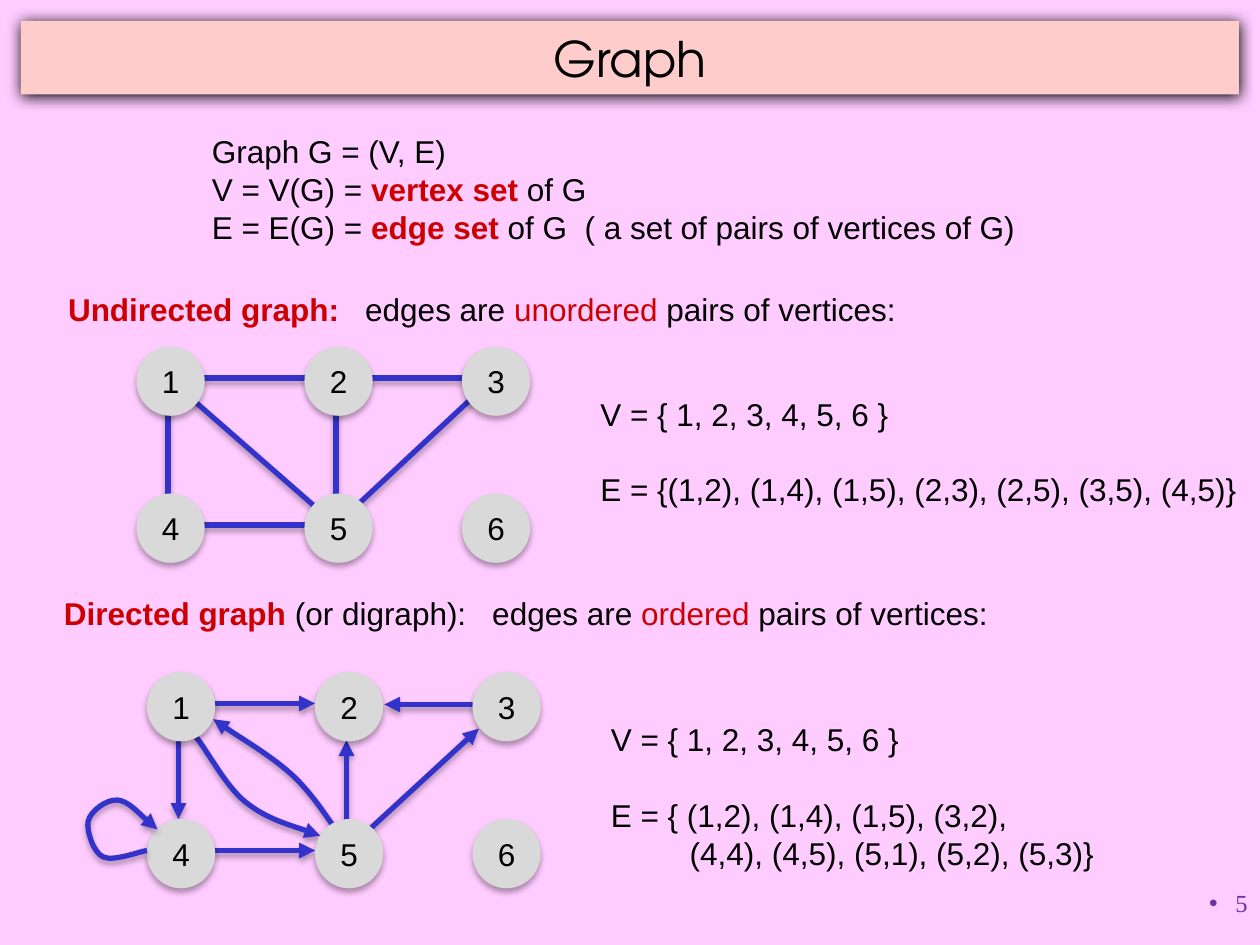
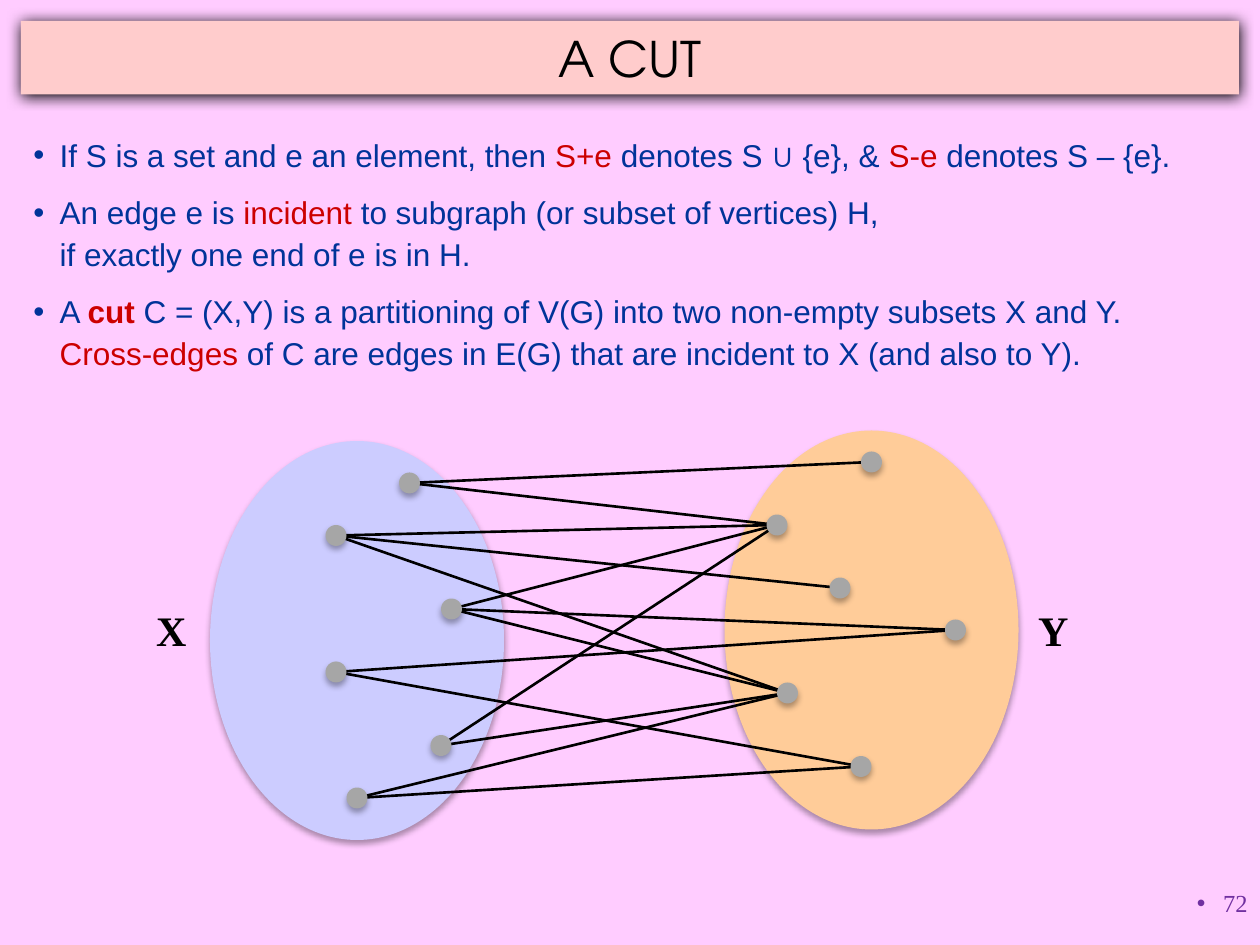
from lxml import etree
from pptx import Presentation
from pptx import util as u
from pptx.dml import color
from pptx.enum import shapes, text
from pptx.oxml import ns

SCALE = 7620
INK, RED, NAVY, PURPLE = "000000", "CC0000", "003399", "7030A0"
PAGE, BAND, VERTEX, EDGE = "FFCCFF", "FFCCCC", "D9D9D9", "3333CC"
X_SIDE, Y_SIDE, DOT = "CCCCFF", "FFCC99", "A6A6A6"
TITLE_FONT, BODY_FONT, SERIF_FONT = "TeX Gyre Adventor", "Arial", "Times New Roman"
BAND_SHADOW, SOFT_SHADOW = (8.5, 1, 100), (3.5, 2.2, 32)
LEFT, CENTER, RIGHT = text.PP_ALIGN.LEFT, text.PP_ALIGN.CENTER, text.PP_ALIGN.RIGHT


def px(length):
    return u.Emu(length * SCALE)


def rgb(code):
    return color.RGBColor.from_string(code)


def add_xml(parent, tag, **attributes):
    values = {name: str(value) for name, value in attributes.items()}
    return etree.SubElement(parent, ns.qn("a:" + tag), values)


class Painter:
    def __init__(self):
        self.deck = Presentation()
        self.deck.slide_width, self.deck.slide_height = px(1200), px(900)
        self.page = None

    def add_page(self, title, number):
        self.page = self.deck.slides.add_slide(self.deck.slide_layouts[6])
        fill = self.page.background.fill
        fill.solid()
        fill.fore_color.rgb = rgb(PAGE)
        band = self.shape("RECTANGLE", 20, 20, 1160, 70, BAND, BAND_SHADOW)
        self.set_text(band.text_frame, [[title]], size=28, font=TITLE_FONT, align=CENTER)
        self.text(950, 840, 250, 60, [[str(number)]], wrap=True, size=14,
                  font=SERIF_FONT, ink=PURPLE, align=RIGHT, bullet=True)

    def effects(self, shape, shadow):
        effects = add_xml(shape.element.spPr, "effectLst")
        if shadow:
            blur, distance, alpha = shadow
            outer = add_xml(effects, "outerShdw", blurRad=u.Pt(blur), dist=u.Pt(distance),
                            dir=5400000, algn="ctr", rotWithShape=0)
            tone = add_xml(outer, "srgbClr", val=INK)
            add_xml(tone, "alpha", val=alpha * 1000)

    def shape(self, kind, x, y, width, height, fill, shadow=SOFT_SHADOW):
        box = self.page.shapes.add_shape(getattr(shapes.MSO_SHAPE, kind),
                                         px(x), px(y), px(width), px(height))
        box.fill.solid()
        box.fill.fore_color.rgb = rgb(fill)
        box.line.fill.background()
        self.effects(box, shadow)
        return box

    def stroke(self, shape, ink, width, arrow, shadow):
        shape.line.color.rgb = rgb(ink)
        shape.line.width = u.Pt(width)
        if arrow:
            add_xml(shape.element.spPr.find(ns.qn("a:ln")), "tailEnd", type="triangle")
        self.effects(shape, shadow)

    def line(self, start, end, ink=EDGE, width=3, arrow=False, shadow=SOFT_SHADOW):
        ends = [px(value) for value in (*start, *end)]
        connector = self.page.shapes.add_connector(shapes.MSO_CONNECTOR.STRAIGHT, *ends)
        self.stroke(connector, ink, width, arrow, shadow)

    def curve(self, start, *points):
        builder = self.page.shapes.build_freeform(*start, scale=SCALE)
        builder.add_line_segments(points, close=False)
        shape = builder.convert_to_shape()
        shape.fill.background()
        outline = shape.element.spPr.find(".//" + ns.qn("a:path"))
        steps = outline.findall(ns.qn("a:lnTo"))
        for first in range(0, len(steps), 3):
            bend = add_xml(outline, "cubicBezTo")
            for step in steps[first:first + 3]:
                bend.append(step[0])
                outline.remove(step)
        self.stroke(shape, EDGE, 3, True, SOFT_SHADOW)

    def vertex(self, x, y, label):
        circle = self.shape("OVAL", x, y, 65, 66, VERTEX)
        circle.text_frame.word_wrap = False
        self.set_text(circle.text_frame, [[label]], align=CENTER)

    def dot(self, x, y):
        self.shape("OVAL", x - 10, y - 10, 20, 20, DOT)

    def text(self, x, y, width, height, paragraphs, wrap=False, **style):
        box = self.page.shapes.add_textbox(px(x), px(y), px(width), px(height))
        box.text_frame.word_wrap = wrap
        if not wrap:
            box.text_frame.auto_size = text.MSO_AUTO_SIZE.SHAPE_TO_FIT_TEXT
        self.set_text(box.text_frame, paragraphs, **style)

    def set_text(self, frame, paragraphs, size=18, font=BODY_FONT, ink=INK, align=LEFT,
                 bold=False, bullet=False, spacing=None, gaps=(), indents=(), tab=None):
        for index, spans in enumerate(paragraphs):
            para = frame.add_paragraph() if index else frame.paragraphs[0]
            para.alignment = align
            if spacing:
                para.line_spacing = spacing
            if index and gaps:
                para.space_before = u.Pt(gaps[index - 1])
            properties = para._p.get_or_add_pPr()
            if indents:
                properties.set("marL", str(px(indents[index])))
            if bullet:
                properties.set("marL", str(px(25)))
                properties.set("indent", str(px(-25)))
                add_xml(properties, "buFont", typeface="Arial")
                add_xml(properties, "buChar", char="•")
            if tab:
                stops = add_xml(properties, "tabLst")
                add_xml(stops, "tab", pos=px(tab), algn="l")
            for item in spans:
                words, tone, heavy = item if isinstance(item, tuple) else (item, ink, bold)
                for row, part in enumerate(words.split("\n")):
                    if row:
                        para.add_line_break()
                    if part:
                        self.span(para, part, size, font, tone, heavy)

    def span(self, para, words, size, font, ink, bold):
        span = para.add_run()
        span.text = words
        span.font.size, span.font.name, span.font.bold = u.Pt(size), font, bold
        span.font.color.rgb = rgb(ink)


def vertex_places(left, top):
    return {str(row * 3 + column + 1): (left + offset, top + row * 140)
            for row in range(2) for column, offset in enumerate((0, 160, 310))}


def draw_graph_page(painter):
    painter.add_page("Graph", 5)
    painter.text(190, 120, 790, 120, [
        ["Graph G = (V, E)"],
        ["V = V(G) = ", ("vertex set", RED, True), " of G"],
        ["E = E(G) = ", ("edge set", RED, True),
         " of G\t( a set of pairs of vertices of G)"]], tab=355)

    painter.text(53, 270, 812, 48, [
        [("Undirected graph:", RED, True), "\tedges are ", ("unordered", RED, False),
         " pairs of vertices:"]], tab=283)
    places = vertex_places(130, 330)
    for pair in ("12", "14", "15", "23", "25", "35", "45"):
        painter.line(*[(places[name][0] + 30, places[name][1] + 30) for name in pair])
    for name, place in places.items():
        painter.vertex(*place, name)
    painter.text(560, 370, 630, 120, [
        ["V = { 1, 2, 3, 4, 5, 6 }"],
        ["E = {(1,2), (1,4), (1,5), (2,3), (2,5), (3,5), (4,5)}"]], gaps=[21.6])

    painter.text(49, 560, 904, 48, [
        [("Directed graph", RED, True), " (or digraph):\tedges are ",
         ("ordered", RED, False), " pairs of vertices:"]], tab=408)
    arrows = [((170, 670), (300, 670)), ((480, 671), (366, 671)),
              ((170, 700), (170, 780)), ((170, 810), (300, 810)),
              ((330, 810), (330, 705)), ((330, 810), (456, 694))]
    for start, end in arrows:
        painter.line(start, end, arrow=True)
    painter.curve((317, 786), (311, 778), (296, 754), (277, 737),
                  (258, 720), (218, 696), (203, 685))
    painter.curve((186, 701), (197, 714), (215, 749), (234, 764),
                  (254, 780), (293, 791), (305, 796))
    for name, place in vertex_places(140, 640).items():
        painter.vertex(*place, name)
    painter.curve((140, 810), (133, 811), (107, 821), (98, 816),
                  (89, 812), (82, 791), (84, 782),
                  (86, 773), (101, 761), (112, 762), (122, 763), (142, 784), (150, 790))
    painter.text(570, 680, 484, 156, [
        ["V = { 1, 2, 3, 4, 5, 6 }"],
        ["E = { (1,2), (1,4), (1,5), (3,2),"],
        ["(4,4), (4,5), (5,1), (5,2), (5,3)}"]], gaps=[21.6, 0], indents=[0, 0, 75])


def draw_cut_page(painter):
    painter.add_page("A CUT", 72)
    painter.text(20, 120, 1116, 246, [
        ["If S is a set and e an element, then ", ("S+e", RED, False),
         " denotes S ∪ {e}, & ", ("S-e", RED, False), " denotes S – {e}."],
        ["An edge e is ", ("incident", RED, False),
         " to subgraph (or subset of vertices) H,\nif exactly one end of e is in H."],
        ["A ", ("cut", RED, True),
         " C = (X,Y) is a partitioning of V(G) into two non-empty subsets X and Y.\n",
         ("Cross-edges", RED, False),
         " of C are edges in E(G) that are incident to X (and also to Y)."]],
        wrap=True, ink=NAVY, bullet=True, spacing=1.1, gaps=[9, 9])

    painter.shape("OVAL", 690, 410, 280, 380, Y_SIDE)
    painter.shape("OVAL", 200, 420, 280, 380, X_SIDE)
    x_dots = [(390, 460), (320, 510), (430, 580), (320, 640), (420, 710), (340, 760)]
    y_dots = [(830, 440), (740, 500), (800, 560), (910, 600), (750, 660), (820, 730)]
    partners = [(0, 1), (1, 2, 4), (1, 3, 4), (3, 5), (1, 4), (4, 5)]
    for start, ends in zip(x_dots, partners):
        for end in ends:
            painter.line(start, y_dots[end], ink=INK, width=1.5, shadow=None)
    for place in x_dots + y_dots:
        painter.dot(*place)
    for label, left in (("X", 136), ("Y", 976)):
        painter.text(left, 570, 54, 61, [[label]], size=24, font=SERIF_FONT,
                     align=CENTER, bold=True)


def main():
    painter = Painter()
    draw_graph_page(painter)
    draw_cut_page(painter)
    painter.deck.save("out.pptx")


if __name__ == "__main__":
    main()
